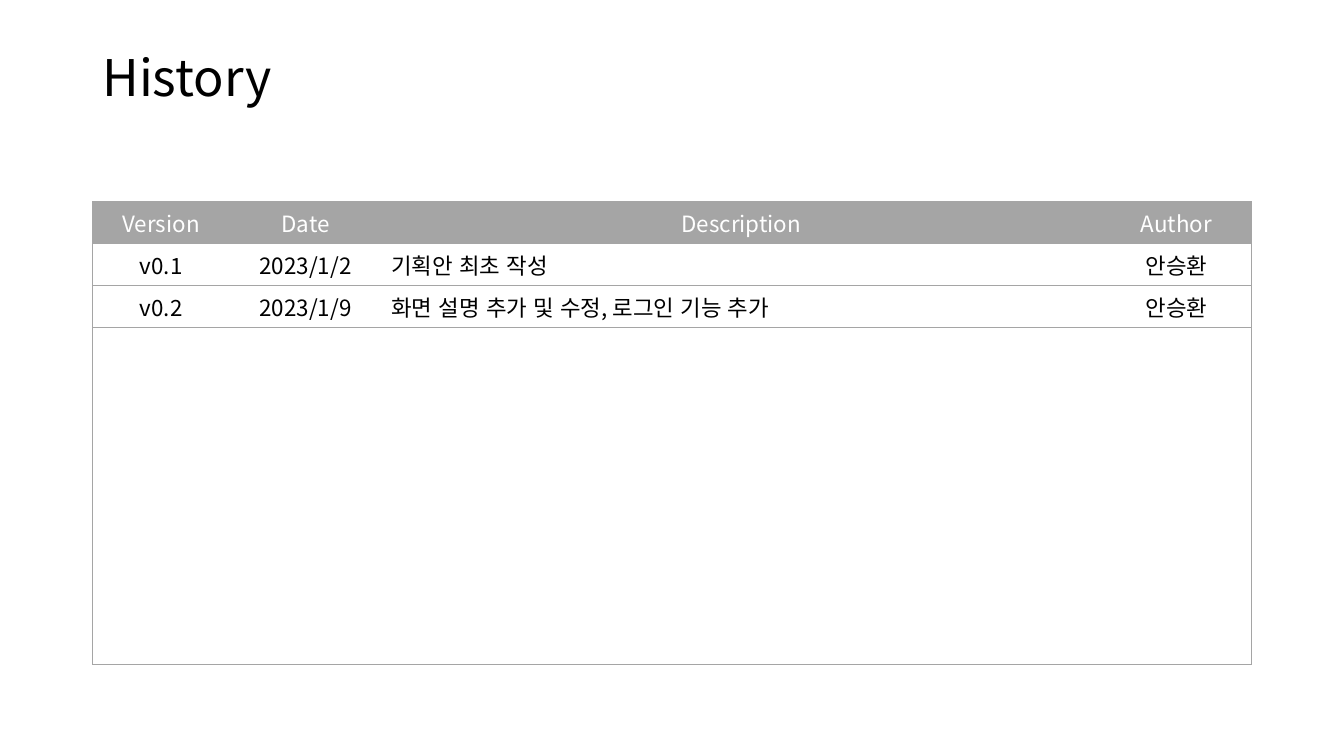
from lxml import etree
from pptx import Presentation
from pptx.dml.color import RGBColor
from pptx.enum.lang import MSO_LANGUAGE_ID
from pptx.enum.text import MSO_ANCHOR, PP_ALIGN
from pptx.oxml.ns import qn
from pptx.util import Cm, Pt

MIDDLE = MSO_ANCHOR.MIDDLE
LEFT = PP_ALIGN.LEFT
CENTER = PP_ALIGN.CENTER
KOREAN = MSO_LANGUAGE_ID.KOREAN
BLACK = RGBColor(0x00, 0x00, 0x00)
WHITE = RGBColor(0xFF, 0xFF, 0xFF)
GRAY = RGBColor(0xA5, 0xA5, 0xA5)
FONT = "Noto Sans CJK KR"

MARGIN = Cm(2.33)
CONTENT_WIDTH = Cm(29.21)
COLUMN_WIDTHS = [Cm(3.46), Cm(3.82), Cm(18.14), Cm(3.79)]
ROW_HEIGHT = Cm(1.06)
ROW_COUNT = 11
DESCRIPTION_COLUMN = 2
ENTRIES = [
    ("Version", "Date", "Description", "Author"),
    ("v0.1", "2023/1/2", "기획안 최초 작성", "안승환"),
    ("v0.2", "2023/1/9", "화면 설명 추가 및 수정, 로그인 기능 추가", "안승환"),
]


def add_span(para, text, size, color):
    """Add one run in the slide font."""
    span = para.add_run()
    span.text = text
    span.font.size = Pt(size)
    span.font.name = FONT
    span.font.color.rgb = color
    span.font.language_id = KOREAN
    properties = span._r.get_or_add_rPr()
    etree.SubElement(properties, qn("a:ea")).set("typeface", FONT)


def add_title(page, text):
    """Add the page heading."""
    box = page.shapes.add_textbox(MARGIN, Cm(1.01), CONTENT_WIDTH, Cm(2.03))
    frame = box.text_frame
    frame.word_wrap = True
    frame.vertical_anchor = MIDDLE
    para = frame.paragraphs[0]
    para.line_spacing = 0.9
    add_span(para, text, 36, BLACK)


def set_borders(cell, visible_sides):
    """Draw the named sides of a cell in gray and clear the others."""
    properties = cell._tc.get_or_add_tcPr()
    for side in "LRTB":
        line = etree.SubElement(properties, qn(f"a:ln{side}"))
        line.set("w", str(Pt(0.5)))
        if side in visible_sides:
            fill = etree.SubElement(line, qn("a:solidFill"))
            etree.SubElement(fill, qn("a:srgbClr")).set("val", str(GRAY))
        else:
            etree.SubElement(line, qn("a:noFill"))


def visible_sides(row, column):
    """Name the ruled sides: the outer frame and the lines around entries."""
    rules = {
        "L": column == 0,
        "R": column == len(COLUMN_WIDTHS) - 1,
        "T": row <= len(ENTRIES),
        "B": row < len(ENTRIES) or row == ROW_COUNT - 1,
    }
    return [side for side, shown in rules.items() if shown]


def fill_cell(cell, row, column):
    """Style one table cell and write its entry, if there is one."""
    is_header = row == 0
    set_borders(cell, visible_sides(row, column))
    if is_header:
        cell.fill.solid()
        cell.fill.fore_color.rgb = GRAY
    else:
        cell.fill.background()
    cell.vertical_anchor = MIDDLE
    cell.margin_top = cell.margin_bottom = 0
    if row < len(ENTRIES):
        para = cell.text_frame.paragraphs[0]
        is_description = column == DESCRIPTION_COLUMN and not is_header
        para.alignment = LEFT if is_description else CENTER
        add_span(para, ENTRIES[row][column], 16, WHITE if is_header else BLACK)


def add_history_table(page):
    """Add the version history table."""
    table = page.shapes.add_table(
        ROW_COUNT, len(COLUMN_WIDTHS), MARGIN, Cm(5.08),
        CONTENT_WIDTH, ROW_HEIGHT * ROW_COUNT,
    ).table
    table.horz_banding = False
    table.first_row = False
    for column, width in zip(table.columns, COLUMN_WIDTHS):
        column.width = width
    for row_index, row in enumerate(table.rows):
        row.height = ROW_HEIGHT
        for column_index, cell in enumerate(row.cells):
            fill_cell(cell, row_index, column_index)


def main():
    """Build the history slide and save the deck."""
    deck = Presentation()
    deck.slide_width = Cm(33.87)
    deck.slide_height = Cm(19.05)
    page = deck.slides.add_slide(deck.slide_layouts[6])
    add_title(page, "History")
    add_history_table(page)
    deck.save("out.pptx")


if __name__ == "__main__":
    main()
